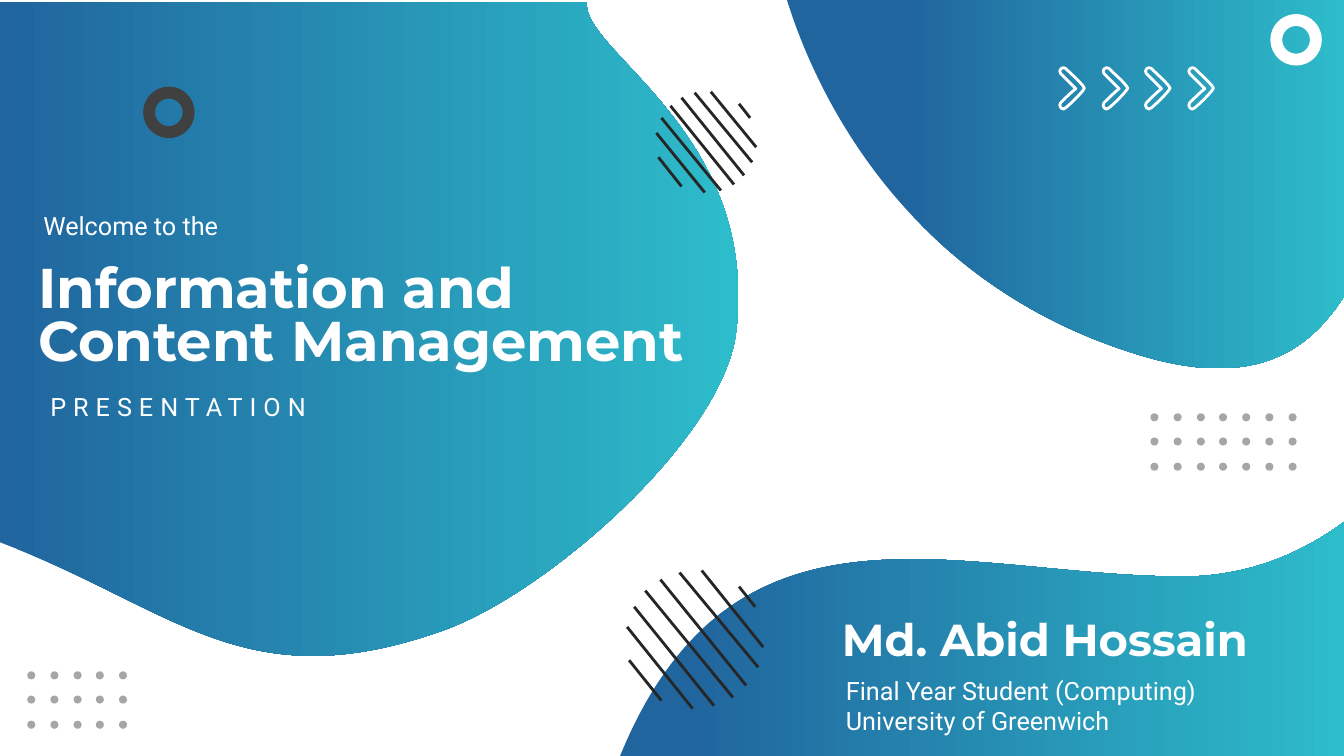
from lxml.etree import SubElement
from pptx import Presentation
from pptx.dml.color import RGBColor as RGB
from pptx.enum.shapes import MSO_CONNECTOR, MSO_SHAPE
from pptx.enum.text import MSO_ANCHOR, MSO_AUTO_SIZE, PP_ALIGN
from pptx.oxml.ns import qn
from pptx.util import Pt

PX = 9144  # EMU per px, 100 px to the inch
COLORS = {"blue": "20659E", "teal": "2DBCCA", "white": "FFFFFF",
          "stripe": "262626", "ring": "404040", "dot": "A6A6A6"}
COLORS = {name: RGB.from_string(value) for name, value in COLORS.items()}


def add_outline(shapes, box, start, segments, dx=0):
    """Add a closed outline; a segment is a line end (x, y) or a Bézier (x1, y1, x2, y2, x, y)."""
    left, top, width, height = box
    builder = shapes.build_freeform(*start, scale=PX)
    builder.add_line_segments([seg[-2:] for seg in segments], close=True)
    sp = builder.convert_to_shape()
    sp.left, sp.top, sp.width, sp.height = [v * PX for v in (left + dx, top, width, height)]
    sp.shadow.inherit = False
    outline = sp.element.find(".//" + qn("a:path"))
    outline.set("w", str(width))
    outline.set("h", str(height))
    for step, seg in zip(list(outline), [start, *segments]):
        for pt in list(step):
            step.remove(pt)
        if len(seg) == 6:
            step.tag = qn("a:cubicBezTo")
        for x, y in zip(seg[::2], seg[1::2]):
            SubElement(step, qn("a:pt"), x=str(x - left), y=str(y - top))
    return sp


def write_text(sp, box, lines, size, font, bold=False, line_spacing=1.0, letter_spacing=0):
    sp.left, sp.top, sp.width, sp.height = [v * PX for v in box]
    tf = sp.text_frame
    tf.text = "\n".join(lines)
    frame_format = {"word_wrap": True, "auto_size": MSO_AUTO_SIZE.SHAPE_TO_FIT_TEXT,
                    "vertical_anchor": MSO_ANCHOR.TOP, "margin_left": 0, "margin_top": 0,
                    "margin_right": 0, "margin_bottom": 0}
    for name, value in frame_format.items():
        setattr(tf, name, value)
    for p in tf.paragraphs:
        p.alignment, p.line_spacing, p.space_before = PP_ALIGN.LEFT, line_spacing, Pt(0)
        r = p.runs[0]
        for name, value in {"size": Pt(size), "name": font, "bold": bold}.items():
            setattr(r.font, name, value)
        r.font.color.rgb = COLORS["white"]
        if letter_spacing:
            r.font._element.set("spc", str(letter_spacing * 100))


prs = Presentation()
prs.slide_width, prs.slide_height = 1333 * PX, 750 * PX
slide = prs.slides.add_slide(prs.slide_layouts[0])
shapes = slide.shapes

# Gradient blobs: first stop in percent, box, start, segments
blobs = [
    (0, (0, 2, 732, 648), (438, 626),
     [(543, 589, 717, 435, 730, 330), (754, 131, 577, 52, 582, 2),
      (0, 2), (0, 538), (174, 604, 242, 695, 438, 626)]),
    (21, (779, -5, 554, 391), (1120, 349),
     [(1235, 387, 1294, 355, 1333, 294), (1333, -5), (779, -5),
      (803, 75, 885, 273, 1120, 349)]),
    (9, (615, 473, 718, 277), (1333, 518),
     [(1288, 551, 1235, 572, 1173, 572), (955, 572, 728, 473, 615, 750), (1333, 750)]),
]
# The third blob's box starts at its control point, as its outline does
for first_stop, box, start, segments in blobs:
    sp = add_outline(shapes, box, start, segments)
    sp.line.fill.background()
    sp.fill.gradient()
    sp.fill.gradient_angle = 0
    for stop, color, position in zip(sp.fill.gradient_stops, ("blue", "teal"), (first_stop, 100)):
        stop.color.rgb = COLORS[color]
        stop.position = position / 100

# Title and subtitle, brought in front of the blobs
title, subtitle = shapes.title, slide.placeholders[1]
write_text(title, (38, 263, 798, 109), ["Information and", "Content Management"],
           40, "Montserrat", bold=True, line_spacing=0.8)
write_text(subtitle, (50, 388, 677, 30), ["PRESENTATION"], 18, "Roboto", letter_spacing=5)
for sp in (title, subtitle):
    sp.element.getparent().append(sp.element)

# Circles of slanted stripes
stripe_groups = [
    [(624, 655, 656, 695), (622, 622, 687, 703), (629, 602, 708, 700), (640, 586, 727, 692),
     (655, 575, 740, 680), (674, 568, 752, 662), (696, 566, 757, 642), (733, 582, 749, 602)],
    [(653, 156, 676, 185), (651, 132, 699, 191), (656, 117, 715, 189), (665, 105, 728, 183),
     (676, 97, 738, 174), (689, 92, 746, 161), (705, 91, 750, 146), (733, 103, 744, 117)],
]
for stripes in stripe_groups:
    group = shapes.add_group_shape()
    for ends in stripes:
        line = group.shapes.add_connector(MSO_CONNECTOR.STRAIGHT, *[v * PX for v in ends])
        line.line.color.rgb = COLORS["stripe"]
        line.line.width = Pt(2)
        SubElement(line.element.spPr, qn("a:effectLst"))

# Rings
for left, top, color in [(1260, 14, "white"), (142, 86, "ring")]:
    sp = shapes.add_shape(MSO_SHAPE.DONUT, left * PX, top * PX, 51 * PX, 51 * PX)
    sp.adjustments[0] = 0.23
    sp.shadow.inherit = False
    sp.fill.solid()
    sp.fill.fore_color.rgb = COLORS[color]
    sp.line.fill.background()

# Row of chevrons
chevron = [(1069, 79, 1063, 74, 1057, 68), (1054, 65, 1049, 70, 1052, 73),
           (1057, 78, 1062, 83, 1067, 88), (1062, 92, 1057, 97, 1052, 102),
           (1049, 105, 1054, 111, 1057, 107), (1063, 102, 1069, 96, 1074, 90),
           (1076, 89, 1076, 86, 1074, 85)]
group = shapes.add_group_shape()
for i in range(4):
    sp = add_outline(group.shapes, (1049, 65, 27, 46), (1074, 85), chevron,
                     dx=round(42.7 * i))
    sp.fill.background()
    sp.line.color.rgb = COLORS["white"]
    sp.line.width = Pt(2)
group.element.recalculate_extents()

# Dot grids
for left, top, columns in [(27, 666, 5), (1141, 410, 7)]:
    group = shapes.add_group_shape()
    for row in range(3):
        for column in range(columns):
            x, y = left + round(22.8 * column), top + round(24.5 * row)
            sp = group.shapes.add_shape(MSO_SHAPE.OVAL, x * PX, y * PX, 8 * PX, 8 * PX)
            sp.shadow.inherit = False
            sp.fill.solid()
            sp.fill.fore_color.rgb = COLORS["dot"]
            sp.line.fill.background()

# Greeting and presenter
captions = [
    ((43, 214, 630, 24), ["Welcome to the"], 18, "Roboto", False, 0.8),
    ((835, 617, 427, 44), ["Md. Abid Hossain"], 32, "Montserrat", True, 0.8),
    ((839, 670, 374, 61), ["Final Year Student (Computing)", "University of Greenwich"],
     18, "Roboto", False, 1.0),
]
for box, *text_format in captions:
    write_text(shapes.add_textbox(0, 0, PX, PX), box, *text_format)

prs.save("out.pptx")
